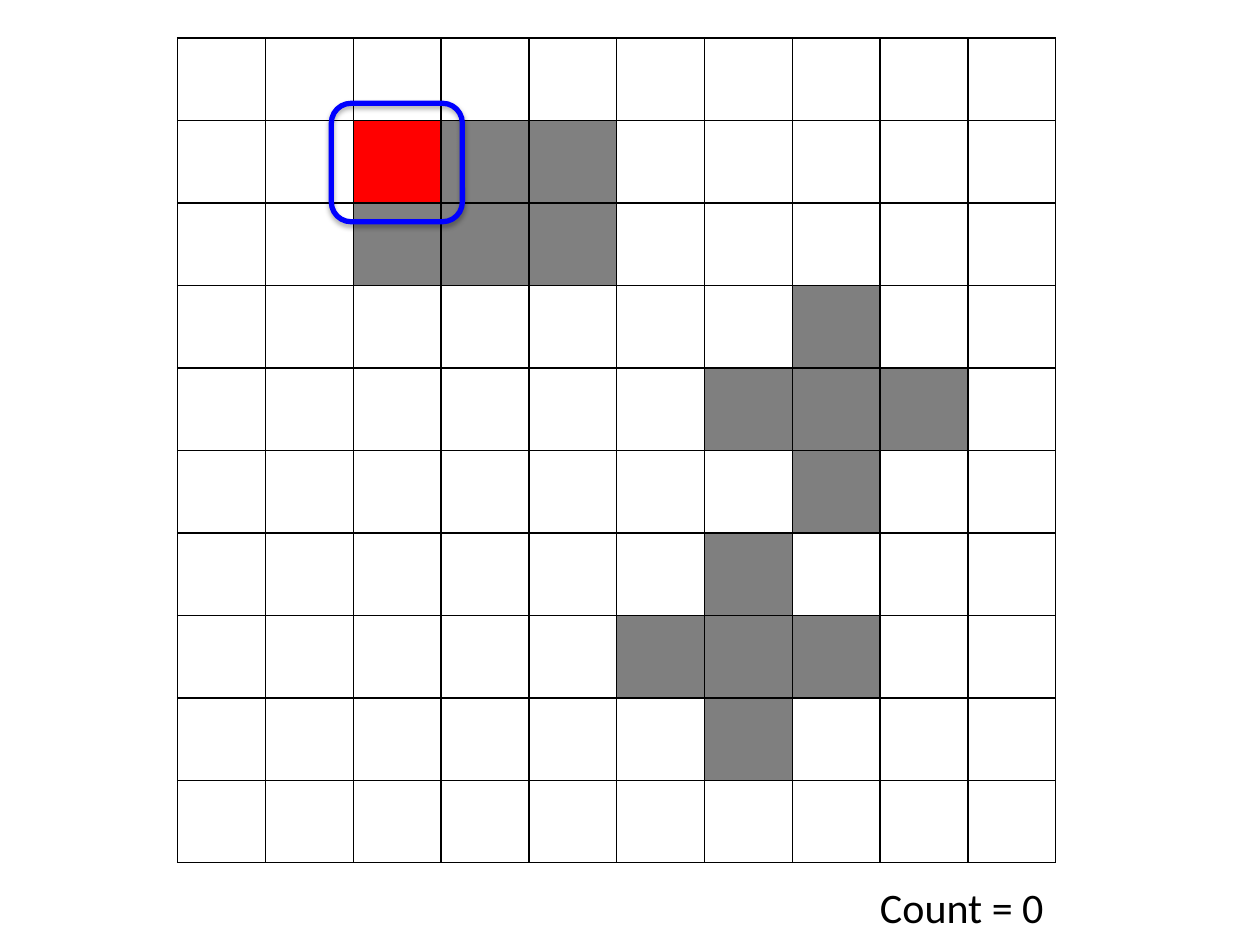
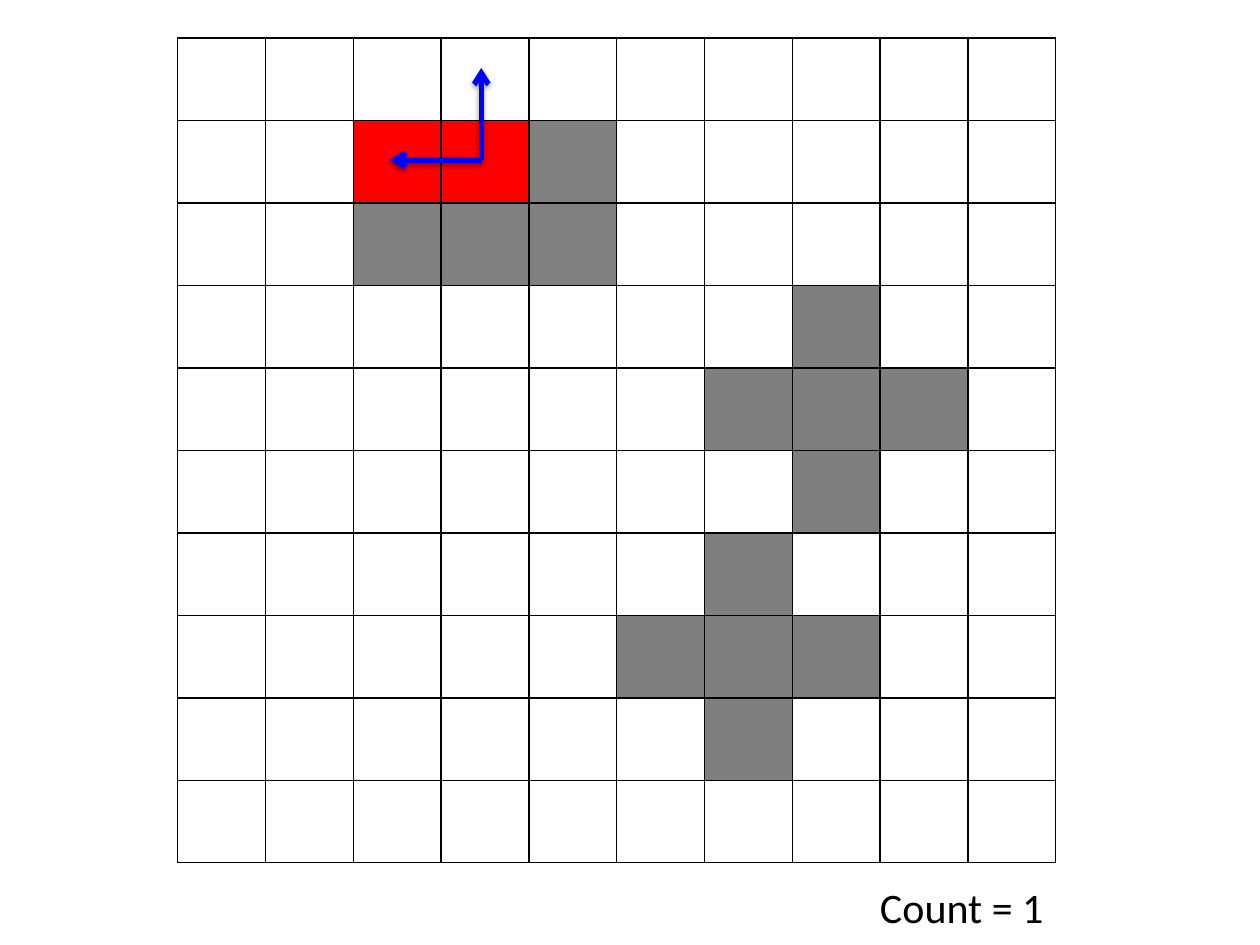
from dataclasses import dataclass

from lxml import etree
from pptx import Presentation
from pptx.dml.color import RGBColor
from pptx.enum.shapes import MSO_CONNECTOR, MSO_SHAPE
from pptx.enum.text import MSO_AUTO_SIZE, PP_ALIGN
from pptx.oxml.ns import qn
from pptx.util import Inches, Pt

ROUNDED = MSO_SHAPE.ROUNDED_RECTANGLE
STRAIGHT = MSO_CONNECTOR.STRAIGHT
RIGHT = PP_ALIGN.RIGHT
GROW = MSO_AUTO_SIZE.SHAPE_TO_FIT_TEXT


@dataclass(frozen=True)
class Theme:
    font: str = "Calibri"
    count_size: int = 24
    border_width: int = 1
    mark_width: int = 3
    ink: str = "000000"
    mark: str = "0000FF"
    visited: str = "FF0000"
    block: str = "808080"
    cross: str = "7F7F7F"


theme = Theme()

# Grid map: B = block cell, X = cross cell, . = empty cell
GRID = [
    "..........",
    "..BBB.....",
    "..BBB.....",
    ".......X..",
    "......XXX.",
    ".......X..",
    "......X...",
    ".....XXX..",
    "......X...",
    "..........",
]
GRID_LEFT, GRID_TOP, GRID_WIDTH, GRID_HEIGHT = 1.41, 0.3, 6.97, 6.55
FILLS = {"B": theme.block, "X": theme.cross, "V": theme.visited}

# Each step: count, visited cells (row, column), highlight box, arrows from a shared start
STEPS = [
    dict(count=0, visited=[(1, 2)], box=(2.63, 0.82, 1.04, 0.94), arrows=[]),
    dict(count=1, visited=[(1, 2), (1, 3)], box=None, arrows=[(3.82, 0.54), (3.09, 1.27)]),
]
ARROW_START = (3.82, 1.27)


def style_mark(s, alpha, distance):
    """Blue outline with a soft shadow straight below."""
    s.line.color.rgb = RGBColor.from_string(theme.mark)
    s.line.width = Pt(theme.mark_width)
    effects = etree.SubElement(s._element.spPr, qn("a:effectLst"))
    shadow = etree.SubElement(effects, qn("a:outerShdw"), blurRad=str(Pt(3.1)),
                              dist=str(Pt(distance)), dir="5400000", rotWithShape="0")
    color = etree.SubElement(shadow, qn("a:srgbClr"), val=theme.ink)
    etree.SubElement(color, qn("a:alpha"), val=str(alpha * 1000))


def style_cell(cell, fill):
    """Thin border on all sides, then the fill."""
    tc_pr = cell._tc.get_or_add_tcPr()
    for side in ("a:lnL", "a:lnR", "a:lnT", "a:lnB"):
        ln = etree.SubElement(tc_pr, qn(side), w=str(Pt(theme.border_width)))
        solid = etree.SubElement(ln, qn("a:solidFill"))
        etree.SubElement(solid, qn("a:srgbClr"), val=theme.ink)
    if fill:
        cell.fill.solid()
        cell.fill.fore_color.rgb = RGBColor.from_string(fill)
    else:
        cell.fill.background()


prs = Presentation()
prs.slide_width, prs.slide_height = Inches(10), Inches(7.5)

for step in STEPS:
    slide = prs.slides.add_slide(prs.slide_layouts[6])

    # Pixel grid
    n_rows, n_cols = len(GRID), len(GRID[0])
    table = slide.shapes.add_table(n_rows, n_cols, Inches(GRID_LEFT), Inches(GRID_TOP),
                                   Inches(GRID_WIDTH), Inches(GRID_HEIGHT)).table
    table.first_row = table.horz_banding = False
    for r, row in enumerate(GRID):
        for c, code in enumerate(row):
            code = "V" if (r, c) in step["visited"] else code
            style_cell(table.cell(r, c), FILLS.get(code))

    # Highlight around the current cell
    if step["box"]:
        s = slide.shapes.add_shape(ROUNDED, *map(Inches, step["box"]))
        s.fill.background()
        style_mark(s, alpha=35, distance=1.8)

    # Count label
    label = slide.shapes.add_textbox(Inches(6.3), Inches(6.95), Inches(2.08), Inches(0.5))
    tf = label.text_frame
    tf.word_wrap = True
    tf.auto_size = GROW
    p = tf.paragraphs[0]
    p.text = f"Count = {step['count']}"
    p.alignment = RIGHT
    p.font.name = theme.font
    p.font.size = Pt(theme.count_size)
    p.font.color.rgb = RGBColor.from_string(theme.ink)

    # Arrows to the neighbours being checked
    for end in step["arrows"]:
        s = slide.shapes.add_connector(STRAIGHT, *map(Inches, ARROW_START + end))
        style_mark(s, alpha=38, distance=1.6)
        etree.SubElement(s.line._get_or_add_ln(), qn("a:tailEnd"), type="arrow")

prs.save("out.pptx")
